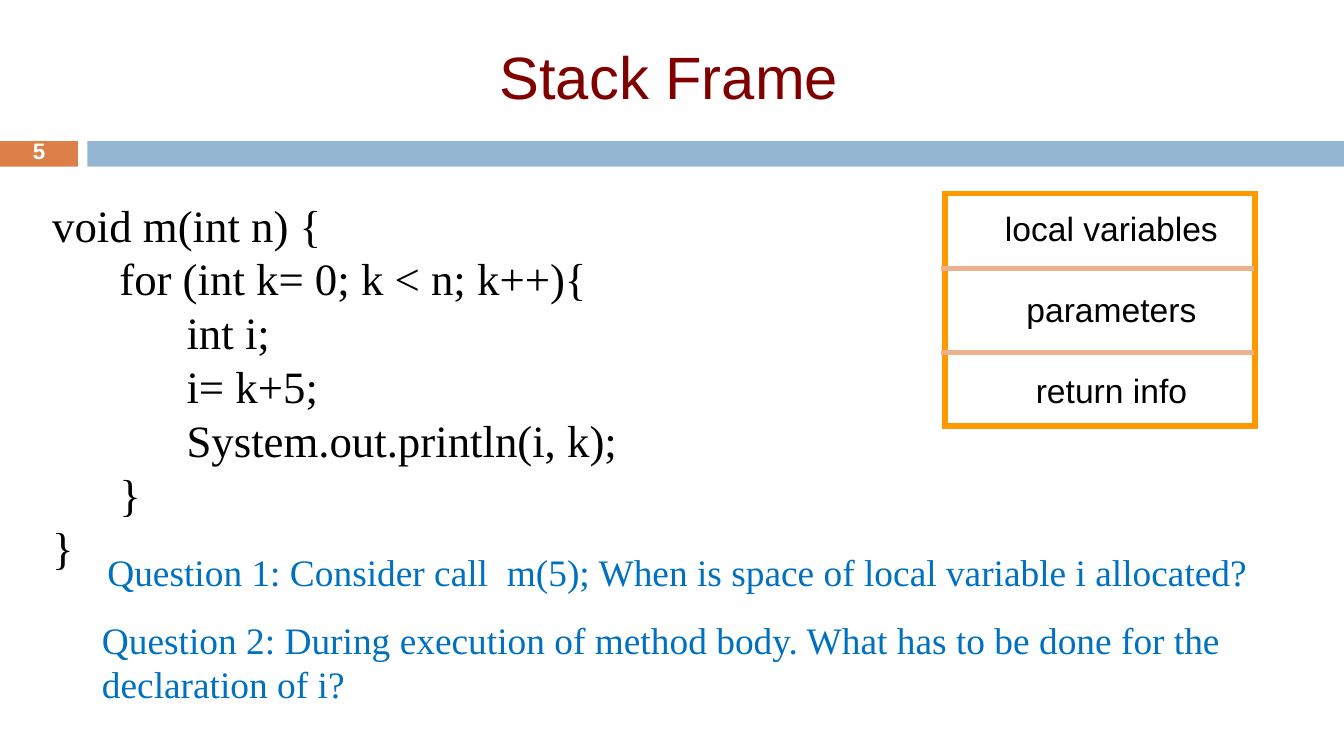
from pptx import Presentation
from pptx.dml.color import RGBColor
from pptx.enum.shapes import MSO_CONNECTOR, MSO_SHAPE
from pptx.enum.text import MSO_ANCHOR, PP_ALIGN
from pptx.oxml.ns import qn
from pptx.util import Inches, Pt
from lxml import etree

RECT, LINE = MSO_SHAPE.RECTANGLE, MSO_CONNECTOR.STRAIGHT
TOP, MIDDLE = MSO_ANCHOR.TOP, MSO_ANCHOR.MIDDLE
LEFT, CENTER = PP_ALIGN.LEFT, PP_ALIGN.CENTER
SANS, SERIF = "Arial", "Times New Roman"
INSETS = (0.1, 0.05, 0.1, 0.05)

# Widescreen slide, 16 to 9
deck = Presentation()
deck.slide_width, deck.slide_height = Inches(10), Inches(10 * 9 / 16)
slide = deck.slides.add_slide(deck.slide_layouts[6])
shapes = slide.shapes


def color(code):
    return RGBColor.from_string(code)


def add_text(box, lines, size, font, code, align=LEFT, anchor=TOP, insets=INSETS):
    """Put (indent level, text) lines in a new text box; return its paragraphs."""
    frame = shapes.add_textbox(*map(Inches, box)).text_frame
    frame.word_wrap = True
    frame.vertical_anchor = anchor
    (frame.margin_left, frame.margin_top,
     frame.margin_right, frame.margin_bottom) = map(Inches, insets)
    for i, (level, text) in enumerate(lines):
        para = frame.add_paragraph() if i else frame.paragraphs[0]
        para.alignment = align
        if level:
            para._p.get_or_add_pPr().set("marL", str(Inches(0.5 * level)))
        run = para.add_run()
        run.text = text
        run.font.size, run.font.name = Pt(size), font
        run.font.color.rgb = color(code)
    return frame.paragraphs


# Header band
for left, width, fill in ((0, 0.58, "DD8047"), (0.65, 9.35, "94B6D2")):
    band = shapes.add_shape(RECT, Inches(left), Inches(1.05), Inches(width), Inches(0.19))
    band.shadow.inherit = False
    band.fill.solid()
    band.fill.fore_color.rgb = color(fill)
    band.line.fill.background()

# Title and slide number
add_text((0.75, 0.31, 8.5, 0.5), [(0, "Stack Frame")], 32, SANS, "800000",
         CENTER, MIDDLE, (0.1, 0.05, 0.14, 0.05))
number = add_text((0, 1.04, 0.58, 0.2), [(0, "5")], 12, SANS, "FFFFFF", CENTER, MIDDLE)[0]
number.line_spacing = 0.8
number.runs[0].font.bold = True

# Stack frame box with its three parts
stack = shapes.add_shape(RECT, Inches(7.03), Inches(1.44), Inches(2.31), Inches(1.73))
stack.shadow.inherit = False
stack.fill.background()
stack.line.color.rgb, stack.line.width = color("FF9900"), Pt(3)
etree.SubElement(stack.line._get_or_add_ln(), qn("a:miter")).set("lim", "800000")

parts = [(0, "local variables"), (0, "parameters"), (0, "return info")]
for para in add_text((7.07, 1.55, 2.4, 1.56), parts, 18, SANS, "000000",
                     CENTER, TOP, (0.04, 0, 0.04, 0))[1:]:
    para.space_before = Pt(21.6)

for y in (2, 2.62):
    rule = shapes.add_connector(LINE, Inches(7), Inches(y), Inches(9.33), Inches(y))
    rule.line.color.rgb, rule.line.width = color("EAB28F"), Pt(2.75)
    etree.SubElement(rule._element.spPr, qn("a:effectLst"))

# Code
code = [
    (0, "void m(int n) {"),
    (1, "for (int k= 0; k < n; k++){"),
    (2, "int i;"),
    (2, "i= k+5;"),
    (2, "System.out.println(i, k);"),
    (1, "}"),
    (0, "}"),
]
add_text((0.29, 1.42, 6.57, 2.67), code, 24, SERIF, "000000")

# Questions
questions = (
    ((0.7, 4.04, 8.81, 0.44),
     "Question 1: Consider call  m(5); When is space of local variable i allocated?"),
    ((0.66, 4.54, 8.59, 0.77),
     "Question 2: During execution of method body. What has to be done for the "
     "declaration of i?"),
)
for box, text in questions:
    add_text(box, [(0, text)], 20, SERIF, "0070C0")

deck.save("out.pptx")
